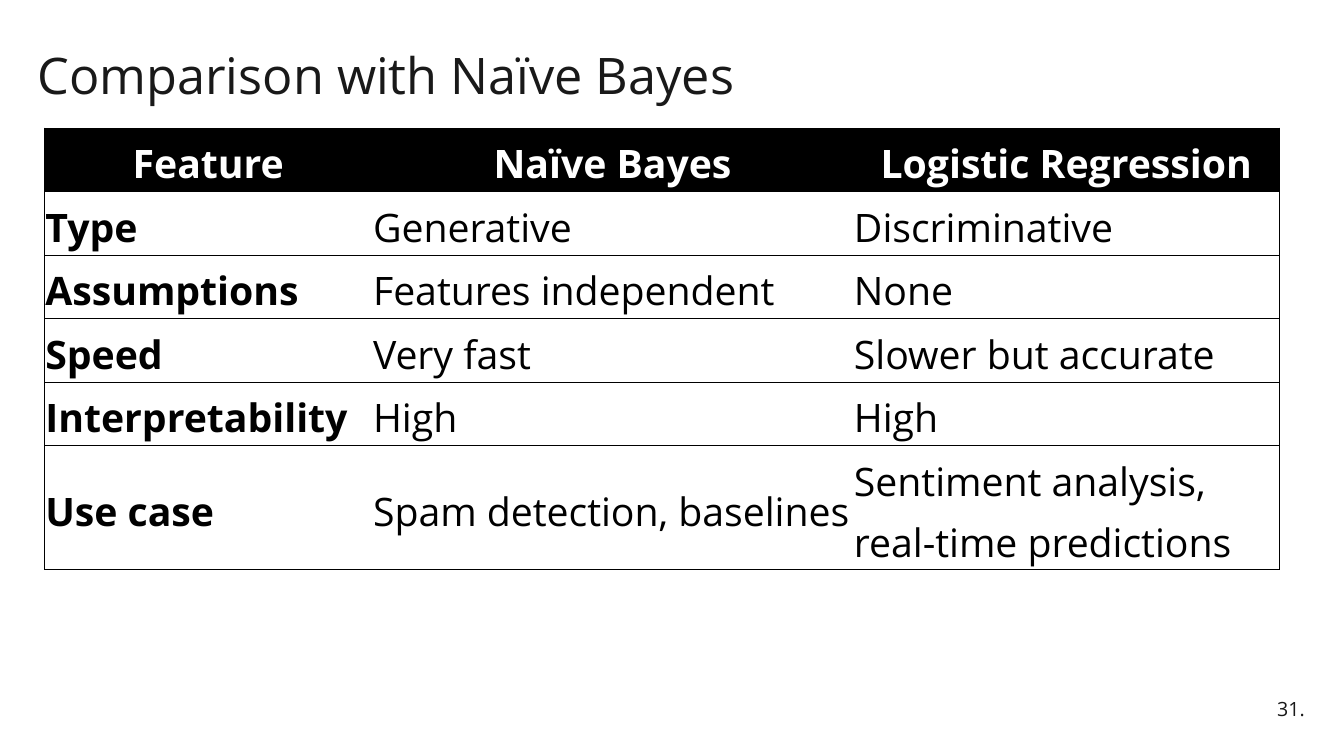
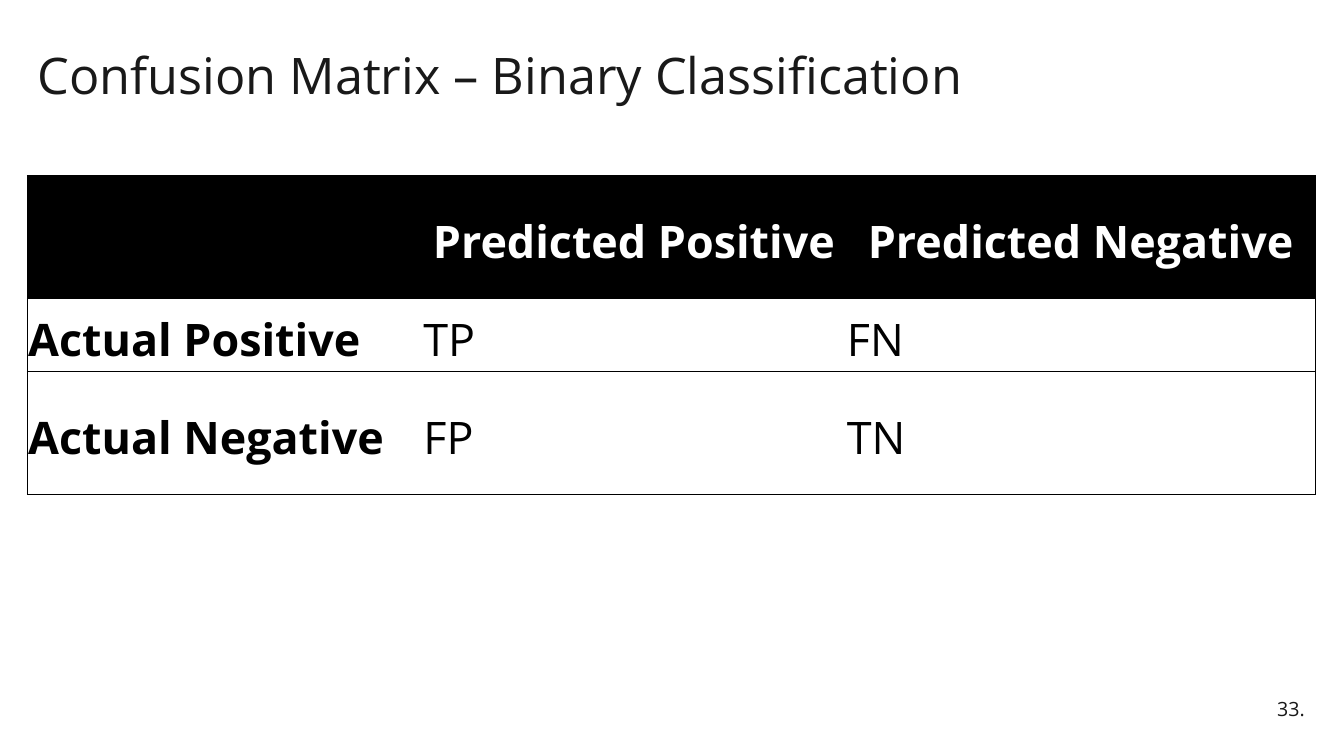
from pptx import Presentation
from pptx.dml.color import RGBColor
from pptx.enum.text import MSO_ANCHOR as Anchor, PP_ALIGN as Align
from pptx.oxml.ns import qn
from pptx.util import Inches, Pt
from lxml.etree import SubElement as Sub

INK = RGBColor(0x19, 0x19, 0x19)
BLACK = RGBColor(0, 0, 0)
WHITE = RGBColor(255, 255, 255)
FONT = "Open Sans"

TRAITS = [
    ("Feature", "Naïve Bayes", "Logistic Regression"),
    ("Type", "Generative", "Discriminative"),
    ("Assumptions", "Features independent", "None"),
    ("Speed", "Very fast", "Slower but accurate"),
    ("Interpretability", "High", "High"),
    ("Use case", "Spam detection, baselines",
     "Sentiment analysis, real-time predictions"),
]
MATRIX = [
    ("", "Predicted Positive", "Predicted Negative"),
    ("Actual Positive", "TP", "FN"),
    ("Actual Negative", "FP", "TN"),
]


def write(frame, text, size, color=INK, bold=False, align=Align.LEFT,
          lead=0.9, after=0):
    frame.word_wrap = True
    para = frame.paragraphs[0]
    para.text = text
    para.alignment = align
    para.line_spacing = lead
    para.space_after = Pt(after)
    font = para.font
    font.name, font.size, font.bold = FONT, Pt(size), bold
    font.color.rgb = color


def place(shape, left, top, width, height):
    shape.left, shape.top = Inches(left), Inches(top)
    shape.width, shape.height = Inches(width), Inches(height)


def add_page(deck, title, number):
    slide = deck.slides.add_slide(deck.slide_layouts[5])
    head = slide.shapes.title
    place(head, 0.27, 0.46, 11.5, 0.65)
    head.text_frame.vertical_anchor = Anchor.TOP
    write(head.text_frame, title, 36)
    foot = slide.shapes.add_textbox(0, 0, 0, 0)
    place(foot, 11.62, 6.85, 1.42, 0.4)
    foot.text_frame.vertical_anchor = Anchor.MIDDLE
    write(foot.text_frame, f"{number}.", 14, align=Align.RIGHT, after=6)
    return slide


def rule(cell, sides):
    props = cell._tc.get_or_add_tcPr()
    for side in "LRTB":
        line = Sub(props, qn(f"a:ln{side}"), w=str(Pt(0.5)))
        if side in sides:
            fill = Sub(line, qn("a:solidFill"))
            Sub(fill, qn("a:srgbClr"), val=str(BLACK))
        else:
            Sub(line, qn("a:noFill"))


def fill_cell(cell, text, size, row, col, last):
    rule(cell, "TB" + "L" * (col == 0) + "R" * (col == last))
    cell.fill.solid()
    cell.fill.fore_color.rgb = WHITE if row else BLACK
    cell.vertical_anchor = Anchor.MIDDLE
    cell.margin_left = cell.margin_right = Inches(0.01)
    cell.margin_top = cell.margin_bottom = Inches(0.01)
    write(cell.text_frame, text, size, BLACK if row else WHITE,
          bold=row == 0 or col == 0,
          align=Align.LEFT if row else Align.CENTER, lead=1.15, after=8)


def add_grid(slide, data, left, top, cols, rows, size):
    box = [Inches(n) for n in (left, top, sum(cols), sum(rows))]
    table = slide.shapes.add_table(len(rows), len(cols), *box).table
    table.horz_banding = False
    for col, width in zip(table.columns, cols):
        col.width = Inches(width)
    for row, height in zip(table.rows, rows):
        row.height = Inches(height)
    for i, line in enumerate(data):
        for j, text in enumerate(line):
            fill_cell(table.cell(i, j), text, size, i, j, len(cols) - 1)


def main():
    deck = Presentation()
    deck.slide_width, deck.slide_height = Inches(13.33), Inches(7.5)
    slide = add_page(deck, "Comparison with Naïve Bayes", 31)
    add_grid(slide, TRAITS, 0.44, 1.27, [3.25, 4.77, 4.23],
             [0.63] * 5 + [1.23], 28)
    slide = add_page(deck, "Confusion Matrix – Binary Classification", 33)
    add_grid(slide, MATRIX, 0.27, 1.74, [3.92, 4.2, 4.66],
             [1.22, 0.72, 1.22], 32)
    deck.save("out.pptx")


if __name__ == "__main__":
    main()
